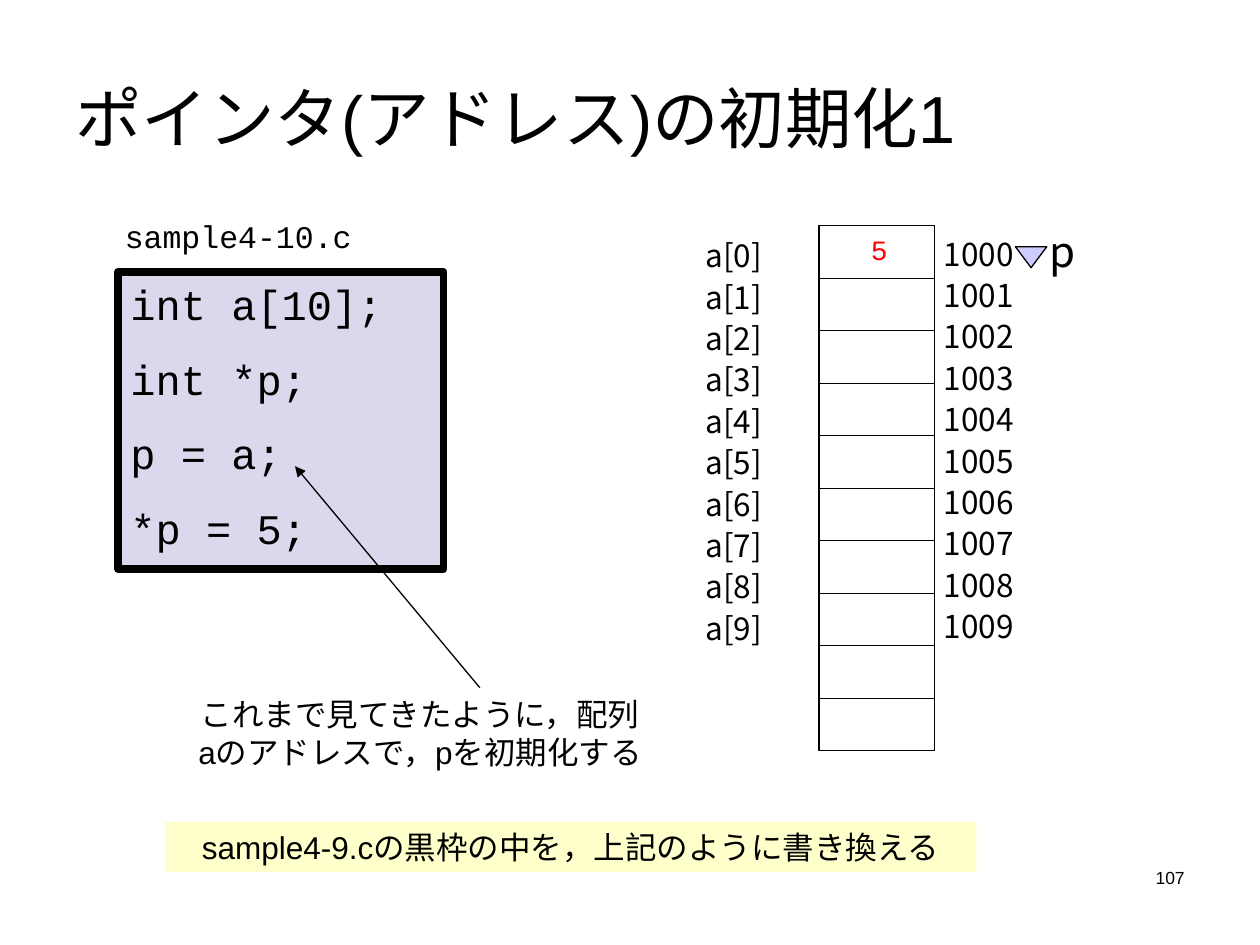
import pptx
import pptx.util
import pptx.dml.color
import pptx.enum.shapes
import pptx.enum.text
import pptx.oxml.ns
import lxml.etree

Pt = pptx.util.Pt
RGBColor = pptx.dml.color.RGBColor
ALIGN = pptx.enum.text.PP_ALIGN
ANCHOR = pptx.enum.text.MSO_ANCHOR
SHAPE = pptx.enum.shapes.MSO_SHAPE
qn = pptx.oxml.ns.qn

BLACK = RGBColor(0x00, 0x00, 0x00)
RED = RGBColor(0xFF, 0x00, 0x00)
LAVENDER = RGBColor(0xD9, 0xD8, 0xEC)
PERIWINKLE = RGBColor(0xCC, 0xCC, 0xFF)
CREAM = RGBColor(0xFF, 0xFF, 0xCC)

SANS, MONO, CJK = "Arial", "Courier New", "Noto Sans CJK JP"
COLUMNS = 24
CELLS = 10


class Deck:
    """Holds the style and current slide; lengths are units of a 24 x 18 grid."""

    def __init__(self):
        self.prs = pptx.Presentation()
        self.prs.slide_width = pptx.util.Inches(10)
        self.prs.slide_height = pptx.util.Inches(7.5)
        self.unit = self.prs.slide_width / COLUMNS
        self.s = self.prs.slides.add_slide(self.prs.slide_layouts[6])

    def grid(self, *lengths):
        return [round(n * self.unit) for n in lengths]

    def fill_text(self, sp, lines, size, font=SANS, color=BLACK, gap=0, align=ALIGN.LEFT,
                  spacing=1.0, anchor=ANCHOR.TOP, wrap=True):
        tf = sp.text_frame
        tf.word_wrap = wrap
        tf.vertical_anchor = anchor
        for i, line in enumerate(lines):
            p = tf.add_paragraph() if i else tf.paragraphs[0]
            layout = {"alignment": align, "line_spacing": spacing,
                      "space_before": Pt(gap if i else 0)}
            for name, value in layout.items():
                setattr(p, name, value)
            r = p.add_run()
            r.text = line
            for name, value in {"size": Pt(size), "name": font}.items():
                setattr(r.font, name, value)
            r.font.color.rgb = color
            ea = lxml.etree.SubElement(r.font._element, qn("a:ea"))
            ea.set("typeface", CJK)

    def text(self, box, lines, size, **style):
        self.fill_text(self.s.shapes.add_textbox(*self.grid(*box)), lines, size, **style)

    def shape(self, kind, box, fill=None, line=None):
        sp = self.s.shapes.add_shape(kind, *self.grid(*box))
        sp.shadow.inherit = False
        if fill is None:
            sp.fill.background()
        else:
            sp.fill.solid()
            sp.fill.fore_color.rgb = fill
        if line is None:
            sp.line.fill.background()
        else:
            sp.line.color.rgb = BLACK
            sp.line.width = Pt(line)
        return sp

    def line(self, start, end, arrow=False):
        straight = pptx.enum.shapes.MSO_CONNECTOR.STRAIGHT
        sp = self.s.shapes.add_connector(straight, *self.grid(*start, *end))
        sp.line.color.rgb = BLACK
        sp.line.width = Pt(0.75)
        if arrow:
            tail = lxml.etree.SubElement(sp.line._get_or_add_ln(), qn("a:tailEnd"))
            tail.set("type", "triangle")
        lxml.etree.SubElement(sp._element.spPr, qn("a:effectLst"))

    def memory(self, left, top, width):
        """Draws a column of cells, each one grid row high."""
        self.shape(SHAPE.RECTANGLE, (left, top, width, CELLS), line=0.75)
        for row in range(1, CELLS):
            self.line((left, top + row), (left + width, top + row))


def main():
    deck = Deck()
    deck.text((17.2, 16.4, 5.6, 1.2), ["107"], 10, align=ALIGN.RIGHT)
    deck.text((1.2, 0.72, 21.6, 3), ["ポインタ(アドレス)の初期化1"], 38,
              anchor=ANCHOR.MIDDLE)

    code = deck.shape(SHAPE.RECTANGLE, (2.25, 5.18, 6.2, 5.66), LAVENDER, 4.5)
    deck.fill_text(code, ["int a[10];", "int *p;", "p = a;", "*p = 5;"], 24,
                   font=MONO, gap=14)
    deck.text((2.14, 4.01, 5.26, 0.96), ["sample4-10.c"], 18, font=MONO)

    deck.memory(15.6, 4.3, 2.2)
    labels = {"font": CJK, "gap": 5.3, "spacing": 0.85}
    deck.text((13.2, 4.49, 2, 9.62), [f"a[{i}]" for i in range(CELLS)], 18, **labels)
    deck.text((17.74, 4.46, 2, 9.62), [str(1000 + i) for i in range(CELLS)], 18, **labels)
    deck.text((16.34, 4.32, 0.82, 0.89), ["5"], 16, font=MONO, color=RED,
              align=ALIGN.CENTER, wrap=False)

    pointer = deck.shape(SHAPE.ISOSCELES_TRIANGLE, (19.34, 4.7, 0.6, 0.4), PERIWINKLE, 0.75)
    pointer._element.spPr.xfrm.set("flipV", "1")
    deck.text((19.75, 4.18, 1.6, 1.2), ["p"], 24, font=CJK)

    deck.line((9.14, 13.1), (5.62, 8.88), arrow=True)
    deck.text((3.5, 13.13, 9, 1.68),
              ["これまで見てきたように，配列aのアドレスで，pを初期化する"], 18,
              align=ALIGN.CENTER)
    banner = deck.shape(SHAPE.RECTANGLE, (3.14, 15.65, 15.46, 0.96), CREAM)
    deck.fill_text(banner, ["sample4-9.cの黒枠の中を，上記のように書き換える"], 18,
                   align=ALIGN.CENTER)
    deck.prs.save("out.pptx")


if __name__ == "__main__":
    main()
